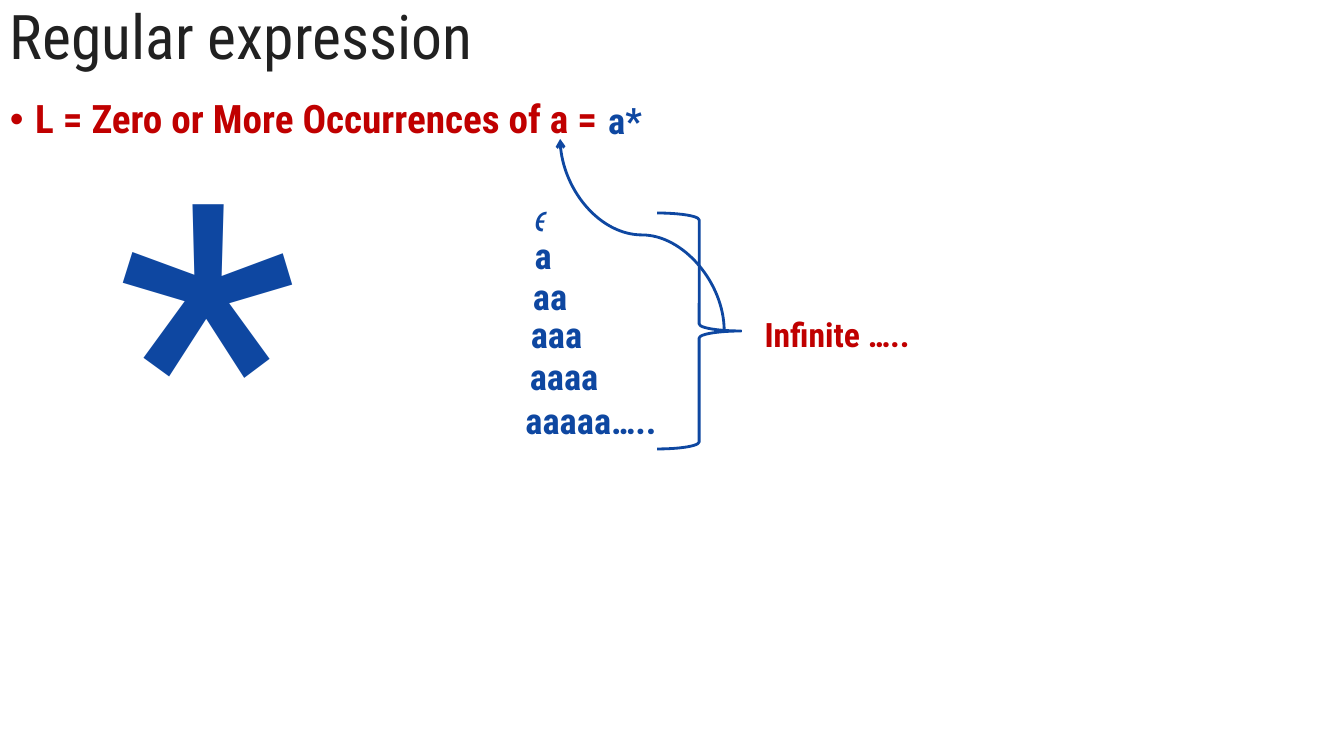
"""Build the slide on the regular expression for zero or more occurrences of a."""
from lxml import etree
from pptx import Presentation, util as u
from pptx.dml.color import RGBColor
from pptx.enum import shapes, text
from pptx.oxml import ns

PX = 914400 / 100.8
BLUE, RED, INK, WHITE = "0E47A1", "C00000", "212121", "FFFFFF"


def color(value):
    return RGBColor.from_string(value)


def write(shape, words, size=26, ink=BLUE, bold=True, align=text.PP_ALIGN.CENTER,
          anchor=text.MSO_ANCHOR.MIDDLE, spacing=None, bullet=None):
    frame = shape.text_frame
    frame.word_wrap = True
    frame.vertical_anchor = anchor
    para = frame.paragraphs[0]
    para.alignment = align
    para.line_spacing = spacing
    if bullet:
        props = para._p.get_or_add_pPr()
        props.set("marL", "228600")
        props.set("indent", "-228600")
        etree.SubElement(props, ns.qn("a:buFont"), typeface="Arial")
        etree.SubElement(props, ns.qn("a:buChar"), char=bullet)
    span = para.add_run()
    span.text = words
    span.font.name = "Roboto Condensed"
    span.font.size = u.Pt(size)
    span.font.bold = bold
    span.font.color.rgb = color(ink)


deck = Presentation()
deck.slide_width, deck.slide_height = u.Inches(13.33), u.Inches(7.5)
page = deck.slides.add_slide(deck.slide_layouts[6])

left = text.PP_ALIGN.LEFT
labels = [
    ("Regular expression", (0, 0, 1344, 79),
     dict(size=44, ink=INK, bold=False, align=left, spacing=0.9)),
    ("L = Zero or More Occurrences of a =", (0, 95, 1315, 616),
     dict(size=28, ink=RED, align=left, anchor=text.MSO_ANCHOR.TOP,
          spacing=0.9, bullet="•")),
    ("*", (44, 153, 328, 365), dict(size=300, bold=False)),
    ("a*", (585, 82, 80, 75), {}),
    ("𝜖", (501, 179, 80, 75), {}),
    ("a", (503, 217, 80, 75), {}),
    ("aa", (510, 262, 80, 68), {}),
    ("aaa", (500, 296, 113, 75), {}),
    ("aaaa", (510, 342, 108, 68), {}),
    ("aaaaa…..", (510, 386, 162, 68), {}),
]
for words, place, style in labels:
    box = page.shapes.add_textbox(*[round(n * PX) for n in place])
    write(box, words, **style)

brace = page.shapes.add_shape(shapes.MSO_SHAPE.RIGHT_BRACE,
                              *[round(n * PX) for n in (657, 213, 84, 236)])
brace.shadow.inherit = False
brace.fill.background()
brace.line.color.rgb = color(BLUE)
brace.line.width = u.Pt(2)

infinite = page.shapes.add_shape(shapes.MSO_SHAPE.RECTANGLE,
                                 *[round(n * PX) for n in (742, 305, 190, 58)])
infinite.shadow.inherit = False
infinite.fill.solid()
infinite.fill.fore_color.rgb = color(WHITE)
infinite.line.fill.background()
write(infinite, "Infinite …..", size=24, ink=RED)

arrow = page.shapes.add_connector(shapes.MSO_CONNECTOR.CURVE,
                                  *[round(n * PX) for n in (546, 317, 738, 153)])
arrow.line.color.rgb = color(BLUE)
arrow.line.width = u.Pt(2)
props = arrow._element.spPr
props.find(ns.qn("a:xfrm")).set("rot", str(270 * 60000))
etree.SubElement(props.find(ns.qn("a:ln")), ns.qn("a:tailEnd"), type="arrow")
etree.SubElement(props, ns.qn("a:effectLst"))

deck.save("out.pptx")
